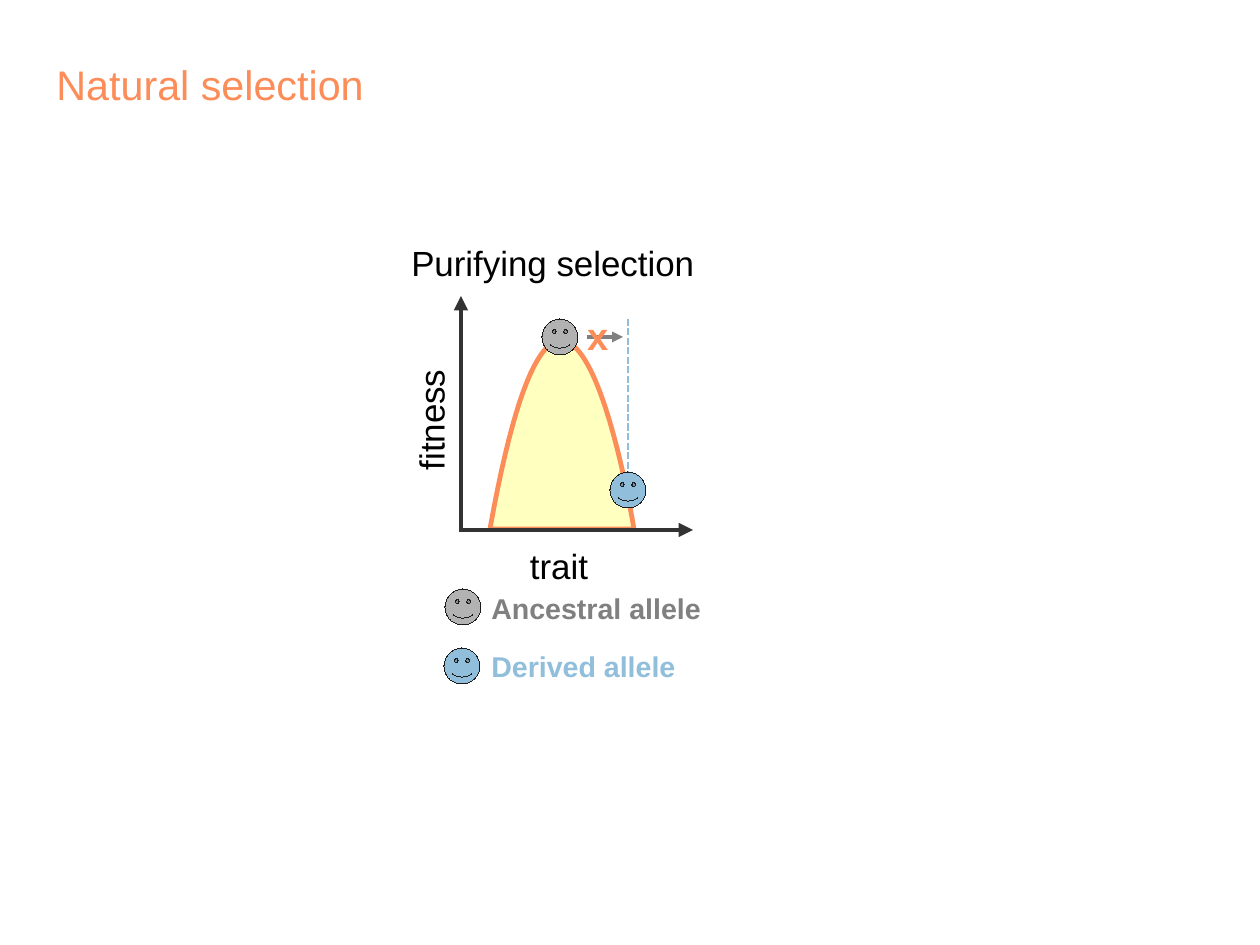
from dataclasses import dataclass

from pptx import Presentation
from pptx.dml.color import RGBColor
from pptx.enum.dml import MSO_LINE_DASH_STYLE
from pptx.enum.shapes import MSO_CONNECTOR, MSO_SHAPE
from pptx.enum.text import MSO_ANCHOR, MSO_AUTO_SIZE, PP_ALIGN
from pptx.oxml.ns import qn
from pptx.oxml.xmlchemy import OxmlElement
from pptx.shapes.shapetree import SlideShapes
from pptx.text.text import TextFrame
from pptx.util import Emu, Pt

ORANGE = RGBColor(0xFC, 0x8D, 0x59)
YELLOW = RGBColor(0xFF, 0xFF, 0xBF)
BLUE = RGBColor(0x91, 0xBF, 0xDB)
SILVER = RGBColor(0xB2, 0xB2, 0xB2)
GREY = RGBColor(0x80, 0x80, 0x80)
AXIS = RGBColor(0x33, 0x33, 0x33)
OUTLINE = RGBColor(0x1C, 0x1C, 0x1C)
BLACK = RGBColor(0, 0, 0)

EMU_PER_PX = 8000  # 1260 x 945 px make a slide of 28 x 21 cm
HAIRLINE = Emu(1)
FACE_SIZE = 36
CURVE_STEPS = 60
CURVE_CONTROLS = ((490, 529), (566, 105), (634, 529), (634, 529))


@dataclass(frozen=True)
class Face:
    left: int
    top: int
    color: RGBColor


@dataclass(frozen=True)
class Line:
    start: tuple[int, int]
    end: tuple[int, int]
    color: RGBColor
    weight: float
    arrow: bool = True
    dashed: bool = False


@dataclass(frozen=True)
class Label:
    text: str
    box: tuple[int, int, int, int]
    size: int = 22
    color: RGBColor = BLACK
    bold: bool = False
    align: PP_ALIGN = PP_ALIGN.LEFT
    rotation: int = 0
    wrap: bool = True


LEGEND_FACES = (Face(445, 589, SILVER), Face(444, 648, BLUE))
DERIVED_TRAIT = Line((628, 507), (628, 319), BLUE, 1.5, arrow=False, dashed=True)
AXES = (
    Line((461, 530), (461, 296), AXIS, 3),
    Line((459, 530), (693, 530), AXIS, 3),
)
CURVE_FACES = (Face(610, 472, BLUE), Face(542, 319, SILVER))
BLOCKED_MOVE = Line((587, 337), (623, 337), GREY, 2.3)
LABELS = (
    Label("Ancestral allele", (480, 585, 240, 43), 18, GREY, bold=True),
    Label("Derived allele", (480, 643, 231, 43), 18, BLUE, bold=True),
    Label("Purifying selection", (400, 236, 320, 89)),
    Label("trait", (487, 539, 144, 50), align=PP_ALIGN.CENTER),
    Label("fitness", (357, 395, 144, 50), align=PP_ALIGN.CENTER, rotation=270),
    Label("x", (576, 307, 43, 54), 24, ORANGE, bold=True, wrap=False),
)


def px(length: float) -> Emu:
    return Emu(round(length * EMU_PER_PX))


def write_text(frame: TextFrame, text: str, *, size: int, color: RGBColor,
               bold: bool = False, align: PP_ALIGN = PP_ALIGN.LEFT,
               wrap: bool = True) -> None:
    frame.word_wrap = wrap
    frame.auto_size = MSO_AUTO_SIZE.NONE
    frame.vertical_anchor = MSO_ANCHOR.TOP
    paragraph = frame.paragraphs[0]
    paragraph.alignment = align
    run = paragraph.add_run()
    run.text = text
    run.font.name = "Arial"
    run.font.size = Pt(size)
    run.font.bold = bold
    run.font.color.rgb = color


def add_label(shapes: SlideShapes, label: Label) -> None:
    box = shapes.add_textbox(*map(px, label.box))
    box.rotation = label.rotation
    write_text(box.text_frame, label.text, size=label.size, color=label.color,
               bold=label.bold, align=label.align, wrap=label.wrap)


def add_face(shapes: SlideShapes, face: Face) -> None:
    smiley = shapes.add_shape(MSO_SHAPE.SMILEY_FACE, px(face.left), px(face.top),
                              px(FACE_SIZE), px(FACE_SIZE))
    smiley.adjustments[0] = 0.093
    smiley.shadow.inherit = False
    smiley.fill.solid()
    smiley.fill.fore_color.rgb = face.color
    smiley.line.color.rgb = OUTLINE
    smiley.line.width = HAIRLINE


def add_line(shapes: SlideShapes, line: Line) -> None:
    connector = shapes.add_connector(MSO_CONNECTOR.STRAIGHT,
                                     *map(px, line.start + line.end))
    connector.line.color.rgb = line.color
    connector.line.width = Pt(line.weight)
    if line.dashed:
        connector.line.dash_style = MSO_LINE_DASH_STYLE.SQUARE_DOT
    properties = connector.element.find(qn("p:spPr"))
    if line.arrow:
        head = OxmlElement("a:tailEnd")
        head.set("type", "triangle")
        properties.find(qn("a:ln")).append(head)
    properties.append(OxmlElement("a:effectLst"))


def curve_point(t: float) -> tuple[Emu, Emu]:
    """Point of the cubic Bezier fitness curve at t, from 0 to 1."""
    weights = ((1 - t) ** 3, 3 * t * (1 - t) ** 2, 3 * t ** 2 * (1 - t), t ** 3)
    x, y = (sum(w * c for w, c in zip(weights, axis))
            for axis in zip(*CURVE_CONTROLS))
    return px(x), px(y)


def add_fitness_curve(shapes: SlideShapes) -> None:
    points = [curve_point(step / CURVE_STEPS) for step in range(CURVE_STEPS + 1)]
    builder = shapes.build_freeform(*points[0])
    builder.add_line_segments(points[1:], close=True)
    curve = builder.convert_to_shape()
    curve.shadow.inherit = False
    curve.fill.solid()
    curve.fill.fore_color.rgb = YELLOW
    curve.line.color.rgb = ORANGE
    curve.line.width = Pt(3)


def main() -> None:
    presentation = Presentation()
    presentation.slide_width, presentation.slide_height = px(1260), px(945)
    title_only = presentation.slide_layouts[5]
    shapes = presentation.slides.add_slide(title_only).shapes

    title = shapes.title
    title.left, title.top, title.width, title.height = map(px, (45, 54, 1080, 67))
    write_text(title.text_frame, "Natural selection", size=26, color=ORANGE)

    for face in LEGEND_FACES:
        add_face(shapes, face)
    add_line(shapes, DERIVED_TRAIT)
    add_fitness_curve(shapes)
    for axis in AXES:
        add_line(shapes, axis)
    for face in CURVE_FACES:
        add_face(shapes, face)
    add_line(shapes, BLOCKED_MOVE)
    for label in LABELS:
        add_label(shapes, label)

    presentation.save("out.pptx")


if __name__ == "__main__":
    main()
